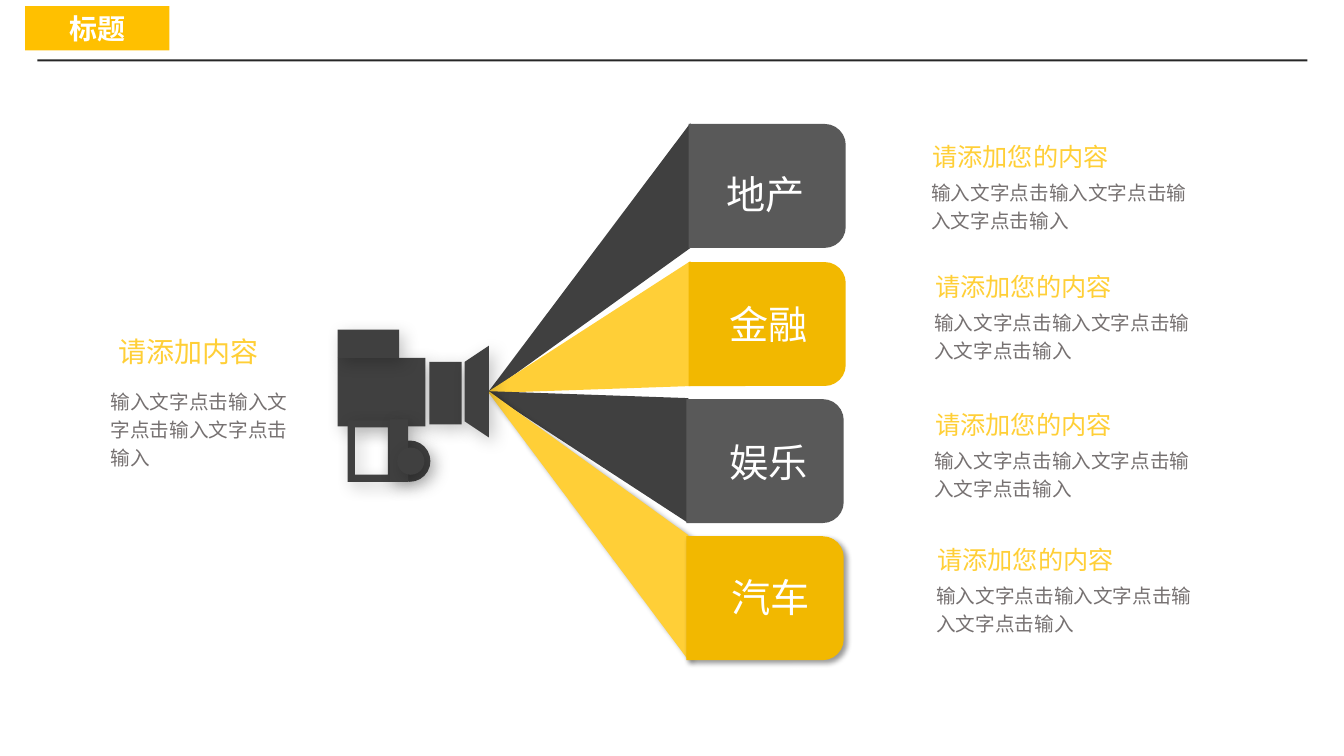
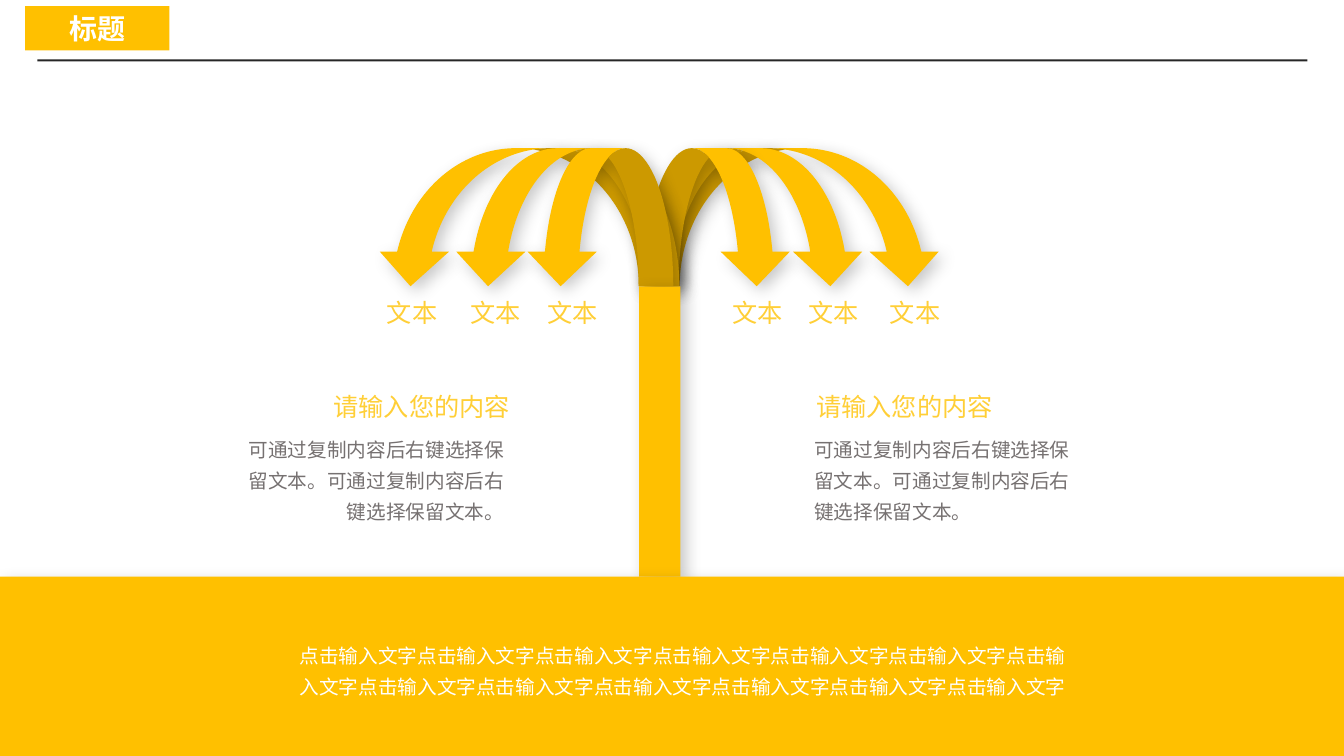
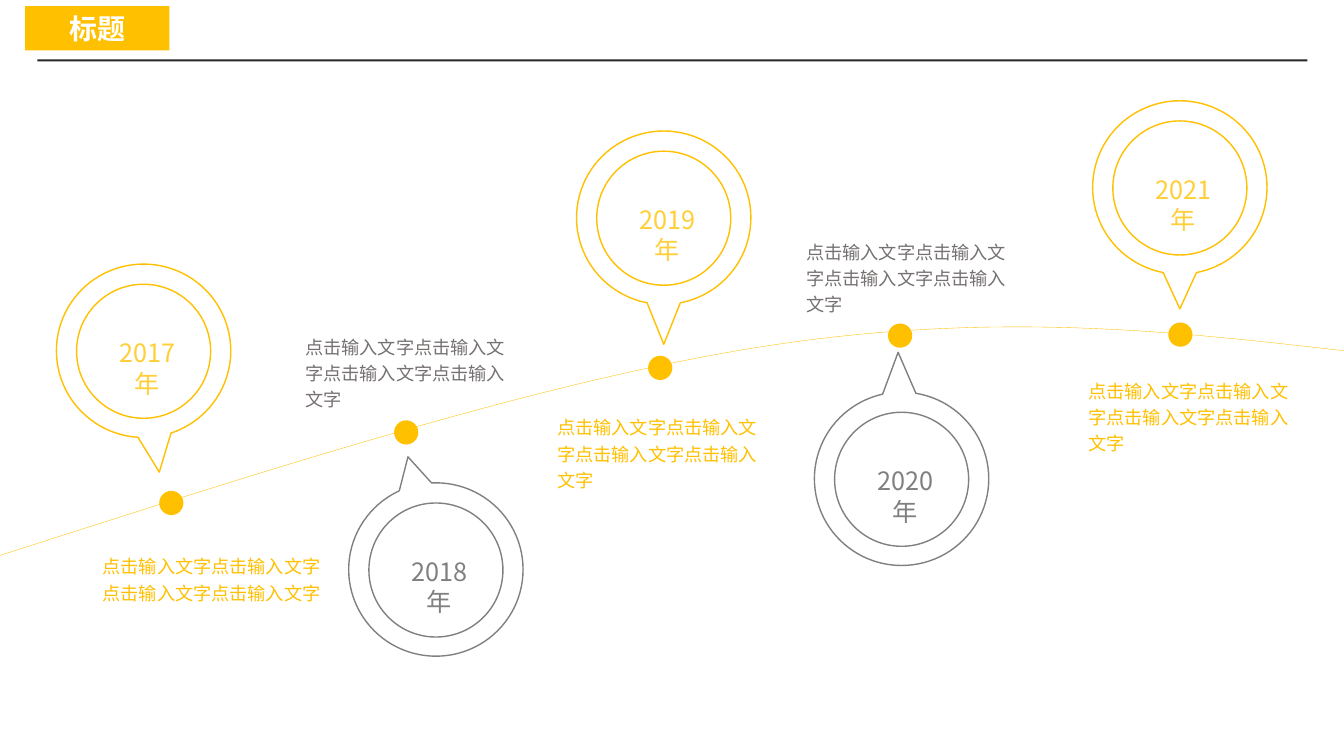
from lxml.etree import SubElement
from pptx import Presentation
from pptx.dml.color import RGBColor
from pptx.enum.shapes import MSO_SHAPE as Preset
from pptx.enum.text import MSO_ANCHOR as Anchor, PP_ALIGN as Align
from pptx.oxml.ns import qn
from pptx.util import Inches, Pt

# Shared design: every length is in grid cells of a tenth of an inch
COLS, ROWS = 133.33, 75
FONT = "Noto Sans CJK SC"
COLORS = {
    "gold": "FFC000", "pale_gold": "FFCF37", "deep_gold": "F2B800",
    "charcoal": "404040", "slate": "595959", "rule": "262626",
    "body": "767171", "gray": "808080", "white": "FFFFFF", "black": "000000",
}
SOFT_SHADOW = (21, 12, 5)  # opacity %, blur pt, distance pt
TIGHT_SHADOW = (40, 4, 3)


def cells(*counts):
    return [Inches(count / 10) for count in counts]


def color(key):
    return RGBColor.from_string(COLORS[key])


def add_shadow(shape, opacity, blur, distance):
    effects = shape._element.spPr.find(qn("a:effectLst"))
    outer = SubElement(effects, qn("a:outerShdw"), blurRad=str(Pt(blur)),
                       dist=str(Pt(distance)), dir="2700000", algn="tl",
                       rotWithShape="0")
    tint = SubElement(outer, qn("a:srgbClr"), val=COLORS["black"])
    SubElement(tint, qn("a:alpha"), val=str(opacity * 1000))


def paint(shape, fill=None, line=None, width=1, shadow=None):
    if fill:
        shape.fill.solid()
        shape.fill.fore_color.rgb = color(fill)
    else:
        shape.fill.background()
    if line:
        shape.line.color.rgb = color(line)
        shape.line.width = Pt(width)
    else:
        shape.line.fill.background()
    shape.shadow.inherit = False
    if shadow:
        add_shadow(shape, *shadow)
    return shape


def add_preset(slide, preset, box, **look):
    return paint(slide.shapes.add_shape(preset, *cells(*box)), **look)


def add_outline(slide, points, closed=True, **look):
    start, *rest = [cells(*point) for point in points]
    builder = slide.shapes.build_freeform(*start)
    builder.add_line_segments(rest, close=closed)
    return paint(builder.convert_to_shape(), **look)


def write(frame, words, size, ink, align=Align.LEFT, spacing=None, bold=False):
    frame.word_wrap = True
    paragraph = frame.paragraphs[0]
    paragraph.alignment = align
    if spacing:
        paragraph.line_spacing = spacing
    run = paragraph.add_run()
    run.text = words
    run.font.size, run.font.bold = Pt(size), bold
    run.font.color.rgb = color(ink)
    run.font.name = FONT
    SubElement(run.font._element, qn("a:ea"), typeface=FONT)


def add_text(slide, box, words, size, ink, **style):
    write(slide.shapes.add_textbox(*cells(*box)).text_frame, words, size, ink, **style)


def add_titled_slide(deck, title):
    """Title-only slide with the gold title band and the rule below it."""
    slide = deck.slides.add_slide(deck.slide_layouts[5])
    add_preset(slide, Preset.RECTANGLE, (3.7, 5.9, 126, 0.2), fill="rule")
    band = slide.shapes.title
    band.left, band.top, band.width, band.height = cells(2.5, 0.6, 14.3, 4.4)
    band.fill.solid()
    band.fill.fore_color.rgb = color("gold")
    band.text_frame.vertical_anchor = Anchor.MIDDLE
    write(band.text_frame, title, 20, "white", align=Align.CENTER, bold=True)
    return slide


# Slide 1: camera projecting four topics
PROMPT = "输入文字点击输入文字点击输入文字点击输入"
PANEL_W, PANEL_H = 15.6, 12.3
TOPICS = [  # name, panel corner, text corner
    ("地产", (68.3, 12.3), (91.5, 13.5)),
    ("金融", (68.3, 26), (91.8, 26.4)),
    ("娱乐", (68.1, 39.6), (91.8, 40.1)),
    ("汽车", (68.1, 53.2), (92, 53.5)),
]


def add_camera(slide, x, y):
    parts = [
        (Preset.RECTANGLE, (0, 2.8, 8.7, 6.8)),    # body
        (Preset.RECTANGLE, (0, 0, 6.1, 2.8)),      # magazine
        (Preset.RECTANGLE, (9.1, 3.2, 3.2, 6.2)),  # lens barrel
        (Preset.FRAME, (1, 9, 4.7, 6.1)),          # handle
        (Preset.OVAL, (5.1, 11, 4.1, 4.1)),
        (Preset.RECTANGLE, (5.2, 8.9, 1.8, 6.2)),
        (Preset.OVAL, (5.9, 11.7, 2.7, 2.7)),
    ]
    for preset, (dx, dy, w, h) in parts:
        part = add_preset(slide, preset, (x + dx, y + dy, w, h),
                          fill="charcoal", shadow=SOFT_SHADOW)
        if preset == Preset.FRAME:
            part.adjustments[0] = 0.15
    hood = [(15, 1.6), (15, 10.7), (12.6, 9.1), (12.6, 3.2)]
    add_outline(slide, [(x + dx, y + dy) for dx, dy in hood],
                fill="charcoal", shadow=SOFT_SHADOW)


def add_beam(slide, tip, x, y, beam_fill, panel_fill, shadow):
    edge = x + 0.2
    add_outline(slide, [tip, (edge, y - 0.1), (edge, y + PANEL_H)],
                fill=beam_fill, shadow=shadow)
    # The panel is a quarter-turned shape, so its box is swapped about the centre
    shift = (PANEL_W - PANEL_H) / 2
    panel = add_preset(slide, Preset.ROUND_2_SAME_RECTANGLE,
                       (x + shift, y - shift, PANEL_H, PANEL_W),
                       fill=panel_fill, shadow=shadow)
    panel.rotation = 90
    panel.adjustments[0] = 0.17


def add_topic_text(slide, name, x, y):
    add_text(slide, (x, y, 24.2, 4), "请添加您的内容", 18, "pale_gold")
    add_text(slide, (x - 0.1, y + 3.5, 28.6, 6.7), PROMPT, 14, "body", spacing=1.2)
    add_text(slide, (x - 20.4, y + 2.9, 13, 5.7), name, 28, "white")


def build_camera_slide(deck):
    slide = add_titled_slide(deck, "标题")
    last = len(TOPICS) - 1
    for i, (name, panel, text) in enumerate(TOPICS):
        fills = ("pale_gold", "deep_gold") if i % 2 else ("charcoal", "slate")
        add_beam(slide, (48.2, 39.2 - 0.2 * i), *panel, *fills,
                 TIGHT_SHADOW if i == last else None)
        add_topic_text(slide, name, *text)
    add_camera(slide, 33.5, 32.7)
    add_text(slide, (10.8, 32.7, 20, 4.4), "请添加内容", 20, "pale_gold")
    add_text(slide, (10, 37.7, 20.1, 12.3), PROMPT, 14, "body", spacing=1.2)


# Slide 2: fountain of arrows
NOTE = "可通过复制内容后右键选择保留文本。" * 2
GROUND_TOP = 57.2


def add_arrow_spray(slide, boxes, mirrored):
    for left, width in boxes:
        arrow = add_preset(slide, Preset.CURVED_DOWN_ARROW, (left, 14.7, width, 13.7),
                           fill="gold", shadow=SOFT_SHADOW)
        if mirrored:
            arrow._element.spPr.find(qn("a:xfrm")).set("flipH", "1")


def add_note(slide, heading_x, note_x, align):
    add_text(slide, (note_x, 42.3, 28.8, 10.2), NOTE, 14, "body",
             align=align, spacing=1.3)
    add_text(slide, (heading_x, 38.3, 24.2, 4), "请输入您的内容", 18, "pale_gold")


def build_fountain_slide(deck):
    slide = add_titled_slide(deck, "标题")
    add_arrow_spray(slide, [(64, 29.5), (63.4, 22.4), (63.9, 14.6)], False)
    add_arrow_spray(slide, [(37.3, 29.5), (45, 22.4), (52.2, 14.6)], True)
    for x in (37.4, 45.7, 53.3, 71.7, 79.2, 87.3):
        add_text(slide, (x, 29, 7.1, 4), "文本", 18, "pale_gold")
    # Trunk and ground
    add_preset(slide, Preset.RECTANGLE, (63.4, 28.4, 4.1, GROUND_TOP - 28.4),
               fill="gold", shadow=SOFT_SHADOW)
    add_preset(slide, Preset.RECTANGLE, (0, GROUND_TOP, COLS, ROWS - GROUND_TOP),
               fill="gold", shadow=SOFT_SHADOW)
    add_note(slide, 32.1, 22.2, Align.RIGHT)
    add_note(slide, 80, 79.8, Align.LEFT)
    add_text(slide, (28.1, 62.7, 79.3, 6.9), "点击输入文字" * 13, 14, "white",
             align=Align.CENTER, spacing=1.3)


# Slide 3: timeline along a curve
CURVE = [  # cubic segments sharing their end points
    ((0, 55.1), (26.9, 46.5), (54, 37.7), (76.2, 34.3)),
    ((76.2, 34.3), (98.5, 30.9), (116, 32.8), (COLS, 34.8)),
]
MILESTONES = [  # year, callout corner, pointer, dot corner, text box
    ("2017年", (5.6, 26.2), (0.09, 0.7), (15.8, 48.7), (9.2, 54.2, 23.6, 8.7)),
    ("2018年", (34.6, 47.9), (-0.16, -0.65), (39.1, 41.7), (29.3, 32.4, 22.8, 8.9)),
    ("2019年", (57.2, 13), (0, 0.73), (64.3, 35.3), (54.3, 40.4, 22.8, 8.9)),
    ("2020年", (80.8, 38.9), (-0.02, -0.73), (88.1, 32.1), (79, 23, 22.8, 8.9)),
    ("2021年", (108.4, 10), (0, 0.7), (115.9, 32), (107, 36.8, 22.8, 8.9)),
]


def curve_points(segments, steps=40):
    points = [segments[0][0]]
    for segment in segments:
        for step in range(1, steps + 1):
            t = step / steps
            weights = ((1 - t) ** 3, 3 * t * (1 - t) ** 2, 3 * t * t * (1 - t), t ** 3)
            points.append([sum(w * p[axis] for w, p in zip(weights, segment))
                           for axis in (0, 1)])
    return points


def add_year_badge(slide, year, x, y, pointer, line, ink):
    callout = add_preset(slide, Preset.OVAL_CALLOUT, (x, y, 17.3, 17.2), line=line)
    callout.adjustments[0], callout.adjustments[1] = pointer
    add_preset(slide, Preset.OVAL, (x + 2, y + 2, 13.3, 13.3), line=line)
    # Narrow box: the year sign falls on its own line
    add_text(slide, (x + 4.5, y + 6.8, 9, 6.6), year, 18, ink, align=Align.CENTER)


def build_timeline_slide(deck):
    slide = add_titled_slide(deck, "标题")
    add_outline(slide, curve_points(CURVE), closed=False, line="gold", width=0.25)
    for i, (year, corner, pointer, dot, text) in enumerate(MILESTONES):
        line, ink, words = (("gray", "gray", "body") if i % 2
                            else ("gold", "pale_gold", "gold"))
        add_preset(slide, Preset.OVAL, (*dot, 2.4, 2.4), fill="gold")
        add_text(slide, text, "点击输入文字" * 4, 13, words, spacing=1.2)
        add_year_badge(slide, year, *corner, pointer, line, ink)


def main():
    deck = Presentation()
    deck.slide_width, deck.slide_height = cells(COLS, ROWS)
    build_camera_slide(deck)
    build_fountain_slide(deck)
    build_timeline_slide(deck)
    deck.save("out.pptx")


if __name__ == "__main__":
    main()
